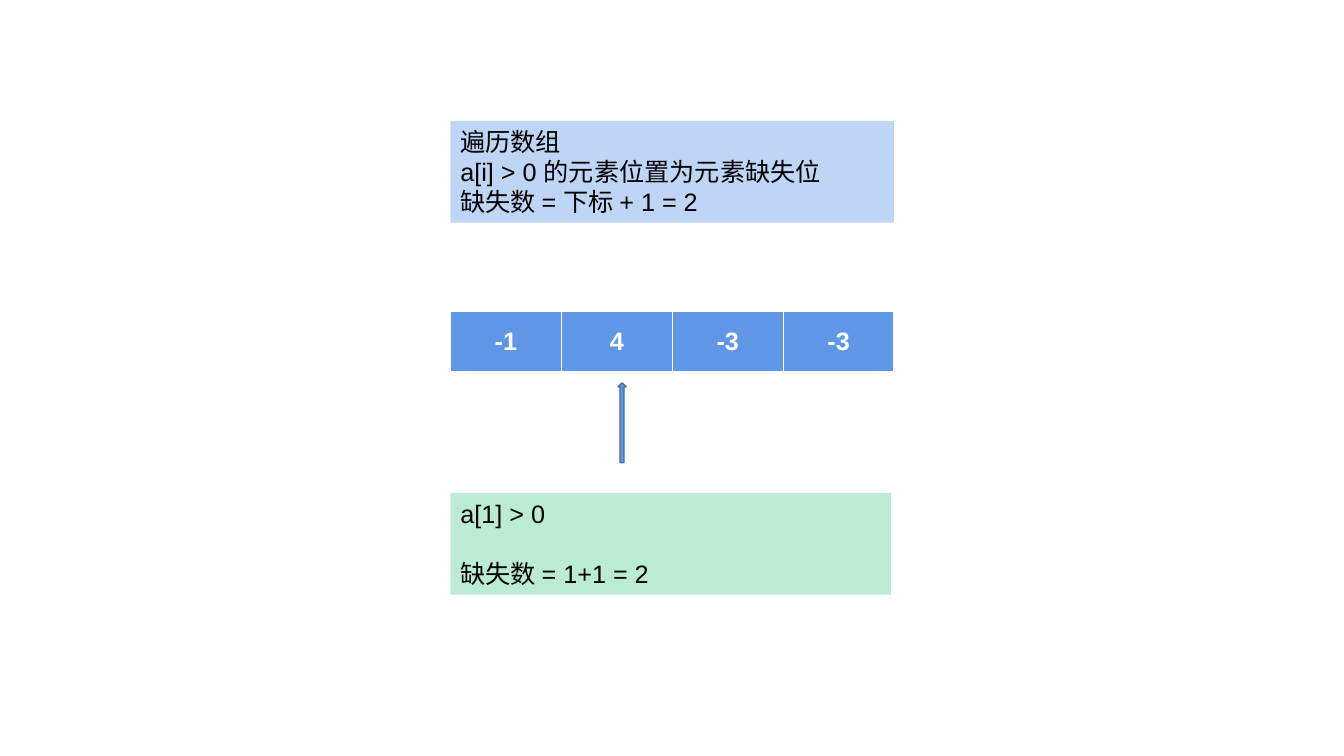
"""Build a slide that finds the missing number in a marked array."""
from dataclasses import dataclass

from lxml import etree
from pptx import Presentation
from pptx.dml.color import RGBColor
from pptx.enum.shapes import MSO_SHAPE
from pptx.enum.text import MSO_ANCHOR, MSO_AUTO_SIZE, PP_ALIGN
from pptx.oxml.ns import qn
from pptx.util import Pt

RECTANGLE = MSO_SHAPE.RECTANGLE
UP_ARROW = MSO_SHAPE.UP_ARROW
MIDDLE = MSO_ANCHOR.MIDDLE
TOP = MSO_ANCHOR.TOP
GROW = MSO_AUTO_SIZE.SHAPE_TO_FIT_TEXT
CENTER = PP_ALIGN.CENTER
LEFT = PP_ALIGN.LEFT

WHITE = RGBColor(0xFF, 0xFF, 0xFF)
BLACK = RGBColor(0x00, 0x00, 0x00)
BLUE = RGBColor(0x60, 0x96, 0xE6)
DARK_BLUE = RGBColor(0x47, 0x6F, 0xAA)
PALE_BLUE = RGBColor(0xBF, 0xD5, 0xF5)
PALE_GREEN = RGBColor(0xBB, 0xEA, 0xD5)

COLUMN_LEFT = 321.8
ARRAY_TOP = 222.5
ARRAY_VALUES = ("-1", "4", "-3", "-3")
CELL_WIDTH = 79.2
CELL_HEIGHT = 43.9
BORDER_WIDTHS = {"a:lnL": 1, "a:lnR": 1, "a:lnT": 1, "a:lnB": 3}
NOTE_HEIGHT = 72.7

NOTE_FONT = {"name": "Arial", "size": Pt(18), "bold": False}
CELL_FONT = {**NOTE_FONT, "bold": True}


@dataclass(frozen=True)
class Note:
    """A filled box of text lines, with a gap between lines."""

    top: float
    width: float
    fill: RGBColor
    lines: tuple[str, ...]
    gap: float = 0


NOTES = (
    Note(86.4, 316.8, PALE_BLUE,
         ("遍历数组", "a[i] > 0 的元素位置为元素缺失位", "缺失数 = 下标 + 1 = 2")),
    Note(352.1, 314.6, PALE_GREEN, ("a[1] > 0", "缺失数 = 1+1 = 2"), gap=21.5),
)


def write_line(paragraph, text: str, font_format: dict, color: RGBColor) -> None:
    """Write one formatted run into a paragraph."""
    run = paragraph.add_run()
    run.text = text
    for name, value in font_format.items():
        setattr(run.font, name, value)
    run.font.color.rgb = color


def add_filled_shape(slide, kind, left: float, top: float, width: float,
                     height: float, fill: RGBColor):
    """Add a flat preset shape without an outline."""
    shape = slide.shapes.add_shape(kind, Pt(left), Pt(top), Pt(width), Pt(height))
    shape.shadow.inherit = False
    shape.fill.solid()
    shape.fill.fore_color.rgb = fill
    shape.line.fill.background()
    return shape


def add_note(slide, note: Note) -> None:
    """Add a note in the shared column."""
    shape = add_filled_shape(slide, RECTANGLE, COLUMN_LEFT, note.top,
                             note.width, NOTE_HEIGHT, note.fill)
    frame = shape.text_frame
    frame_format = {"word_wrap": True, "auto_size": GROW, "vertical_anchor": TOP}
    for name, value in frame_format.items():
        setattr(frame, name, value)
    for index, line in enumerate(note.lines):
        paragraph = frame.add_paragraph() if index else frame.paragraphs[0]
        paragraph.alignment = LEFT
        paragraph.space_before = Pt(note.gap if index else 0)
        write_line(paragraph, line, NOTE_FONT, BLACK)


def add_borders(cell) -> None:
    """Give a table cell white borders."""
    properties = cell._tc.get_or_add_tcPr()
    for tag, width in BORDER_WIDTHS.items():
        border = etree.SubElement(properties, qn(tag), w=str(Pt(width)))
        fill = etree.SubElement(border, qn("a:solidFill"))
        etree.SubElement(fill, qn("a:srgbClr"), val=str(WHITE))


def add_array(slide) -> None:
    """Add the array as a table of one row."""
    count = len(ARRAY_VALUES)
    table = slide.shapes.add_table(
        1, count, Pt(COLUMN_LEFT), Pt(ARRAY_TOP),
        Pt(count * CELL_WIDTH), Pt(CELL_HEIGHT)).table
    for column, cell, value in zip(table.columns, table.rows[0].cells, ARRAY_VALUES):
        column.width = Pt(CELL_WIDTH)
        add_borders(cell)
        cell.fill.solid()
        cell.fill.fore_color.rgb = BLUE
        cell.vertical_anchor = MIDDLE
        paragraph = cell.text_frame.paragraphs[0]
        paragraph.alignment = CENTER
        write_line(paragraph, value, CELL_FONT, WHITE)


def add_pointer(slide) -> None:
    """Add the arrow that points at the positive element."""
    arrow = add_filled_shape(slide, UP_ARROW, 441.4, 273.4, 5.8, 57, BLUE)
    arrow.line.color.rgb = DARK_BLUE
    arrow.line.width = Pt(1)


def main() -> None:
    """Build and save the presentation."""
    presentation = Presentation()
    presentation.slide_width = Pt(960)
    presentation.slide_height = Pt(540)
    slide = presentation.slides.add_slide(presentation.slide_layouts[6])
    add_array(slide)
    for note in NOTES:
        add_note(slide, note)
    add_pointer(slide)
    presentation.save("out.pptx")


main()
